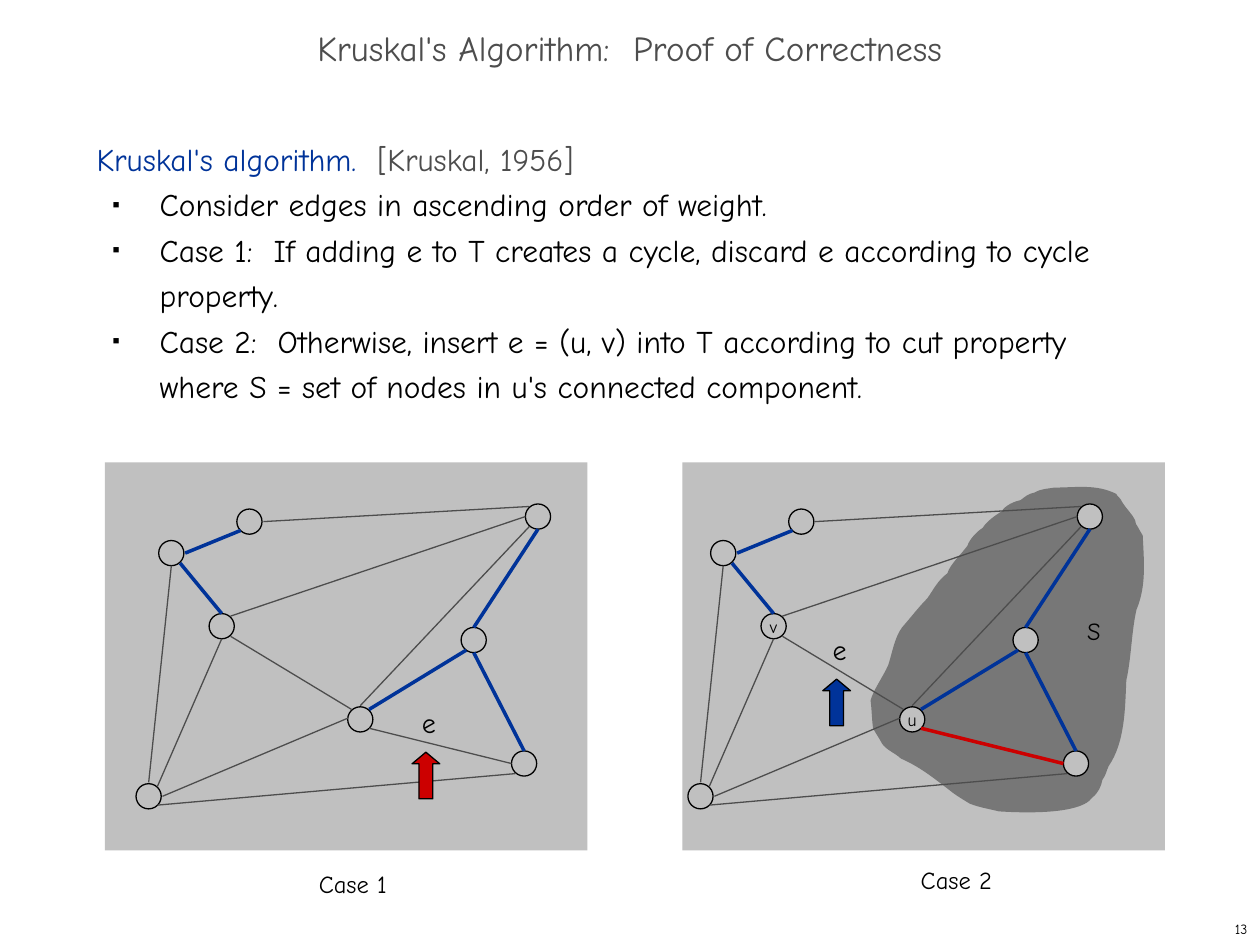
from lxml import etree
from pptx import Presentation
from pptx.dml.color import RGBColor
from pptx.enum import shapes, text
from pptx.oxml import ns
from pptx.util import Inches, Pt

FONT = "Comic Neue"
BLACK = RGBColor(0x00, 0x00, 0x00)
GRAY = RGBColor(0x4D, 0x4D, 0x4D)
BLUE = RGBColor(0x00, 0x33, 0x99)
RED = RGBColor(0xCC, 0x00, 0x00)
PANEL = RGBColor(0xC0, 0xC0, 0xC0)
CUT = RGBColor(0x77, 0x77, 0x77)

CASE_OFFSET = 4.38
NODES = {
    "a": (1.26, 4.29), "b": (4.17, 4), "c": (4.06, 5.96), "d": (1.88, 4.04),
    "v": (1.66, 4.87), "f": (1.08, 6.22), "g": (3.66, 4.98), "u": (2.76, 5.61),
}
TREE_EDGES = [
    (1.47, 4.39, 1.91, 4.21), (1.43, 4.47, 1.76, 4.87), (3.76, 4.98, 4.27, 4.2),
    (2.93, 5.63, 3.7, 5.16), (3.76, 5.18, 4.16, 5.96),
]
OTHER_EDGES = [
    (1.36, 4.49, 1.18, 6.21), (1.83, 4.89, 4.17, 4.1), (1.83, 5.05, 2.79, 5.63),
    (4.2, 4.18, 2.86, 5.6), (1.76, 5.07, 1.25, 6.24), (1.29, 6.32, 2.76, 5.7),
    (2.09, 4.14, 4.2, 4.02), (1.25, 6.39, 4.09, 6.14),
]
CYCLE_EDGE = (2.93, 5.78, 4.06, 6.06)

CUT_START = (7.05, 5.28)
CUT_CURVES = [
    (7.08, 5.19, 7.1, 5.06, 7.16, 4.98), (7.23, 4.9, 7.29, 4.82, 7.36, 4.75),
    (7.41, 4.68, 7.44, 4.61, 7.52, 4.55), (7.54, 4.48, 7.63, 4.4, 7.68, 4.33),
    (7.69, 4.29, 7.75, 4.22, 7.8, 4.19), (7.83, 4.14, 7.9, 4.09, 7.95, 4.06),
    (7.98, 4.01, 8.05, 3.98, 8.1, 3.97), (8.14, 3.94, 8.16, 3.92, 8.21, 3.91),
    (8.26, 3.88, 8.31, 3.88, 8.37, 3.87), (8.54, 3.87, 8.7, 3.84, 8.86, 3.92),
    (8.92, 4.02, 8.82, 3.87, 8.9, 3.97), (8.9, 3.97, 8.9, 3.98, 8.91, 3.99),
    (8.94, 4.04, 8.98, 4.07, 9.01, 4.13), (9.01, 4.15, 9.02, 4.17, 9.03, 4.18),
    (9.04, 4.2, 9.07, 4.25, 9.07, 4.25), (9.08, 4.46, 9.1, 4.65, 9.02, 4.84),
    (8.98, 5.02, 8.98, 5.22, 8.94, 5.4), (8.93, 5.62, 8.93, 5.89, 8.8, 6.08),
    (8.78, 6.12, 8.78, 6.15, 8.75, 6.19), (8.74, 6.24, 8.72, 6.29, 8.67, 6.33),
    (8.56, 6.49, 7.96, 6.44, 7.93, 6.44), (7.85, 6.42, 7.78, 6.41, 7.7, 6.38),
    (7.65, 6.35, 7.6, 6.32, 7.56, 6.29), (7.43, 6.19, 7.31, 6.09, 7.15, 6.02),
    (7.11, 5.98, 7.03, 5.95, 7, 5.9), (6.98, 5.86, 6.95, 5.82, 6.93, 5.78),
    (6.92, 5.71, 6.92, 5.64, 6.91, 5.56), (6.93, 5.48, 7.01, 5.37, 7.05, 5.28),
]

BULLETS = [
    "Consider edges in ascending order of weight.",
    "Case 1:  If adding e to T creates a cycle, discard e according to cycle property.",
    "Case 2:  Otherwise, insert e = (u, v) into T according to cut property "
    "where S = set of nodes in u's connected component.",
]


def place(shape, left, top, width, height):
    shape.left, shape.top = Inches(left), Inches(top)
    shape.width, shape.height = Inches(width), Inches(height)


def write(paragraph, content, size=14, color=BLACK, align=None):
    if align is not None:
        paragraph.alignment = align
    run = paragraph.add_run()
    run.text = content
    run.font.name = FONT
    run.font.size = Pt(size)
    run.font.color.rgb = color


def paint(shape, fill, outline=None):
    shape.shadow.inherit = False
    shape.fill.solid()
    shape.fill.fore_color.rgb = fill
    if outline is None:
        shape.line.fill.background()
    else:
        shape.line.color.rgb = outline
        shape.line.width = Pt(0.75)


def add_preset(slide, kind, left, top, width, height, fill, outline=None):
    shape = slide.shapes.add_shape(
        kind, Inches(left), Inches(top), Inches(width), Inches(height))
    paint(shape, fill, outline)
    return shape


def add_label(slide, content, left, top, width, height, wrap=False,
              anchor=text.MSO_ANCHOR.TOP, **style):
    box = slide.shapes.add_textbox(
        Inches(left), Inches(top), Inches(width), Inches(height))
    box.text_frame.word_wrap = wrap
    box.text_frame.vertical_anchor = anchor
    write(box.text_frame.paragraphs[0], content, **style)


def add_caption(slide, content, left, top):
    add_label(slide, content, left, top, 1.82, 0.36,
              anchor=text.MSO_ANCHOR.MIDDLE, align=text.PP_ALIGN.CENTER)


def add_edge(slide, edge, offset, color, width):
    x1, y1, x2, y2 = edge
    line = slide.shapes.add_connector(
        shapes.MSO_CONNECTOR.STRAIGHT, Inches(x1 + offset), Inches(y1),
        Inches(x2 + offset), Inches(y2))
    line.line.color.rgb = color
    line.line.width = Pt(width)
    etree.SubElement(line._element.spPr, ns.qn("a:effectLst"))


def add_node(slide, left, top, label=""):
    node = add_preset(slide, shapes.MSO_SHAPE.OVAL, left, top, 0.2, 0.2, PANEL, BLACK)
    if label:
        node.text_frame.word_wrap = False
        node.text_frame.vertical_anchor = text.MSO_ANCHOR.MIDDLE
        write(node.text_frame.paragraphs[0], label, size=10,
              align=text.PP_ALIGN.CENTER)


def add_graph(slide, offset=0, labels="", cycle_style=(GRAY, 0.75)):
    for name, (left, top) in NODES.items():
        add_node(slide, left + offset, top, name if name in labels else "")
    for edge in OTHER_EDGES:
        add_edge(slide, edge, offset, GRAY, 0.75)
    for edge in TREE_EDGES:
        add_edge(slide, edge, offset, BLUE, 2)
    add_edge(slide, CYCLE_EDGE, offset, *cycle_style)


def add_cut(slide):
    builder = slide.shapes.build_freeform(*map(Inches, CUT_START))
    builder.add_line_segments(
        [(Inches(curve[4]), Inches(curve[5])) for curve in CUT_CURVES], close=True)
    shape = builder.convert_to_shape()
    paint(shape, CUT)
    segments = list(shape._element.iter(ns.qn("a:lnTo")))
    for segment, curve in zip(segments, CUT_CURVES):
        bezier = etree.Element(ns.qn("a:cubicBezTo"))
        for x, y in zip(curve[::2], curve[1::2]):
            etree.SubElement(bezier, ns.qn("a:pt"), x=str(Inches(x) - shape.left),
                             y=str(Inches(y) - shape.top))
        segment.getparent().replace(segment, bezier)


def add_marker(slide, left, top, color):
    arrow = add_preset(slide, shapes.MSO_SHAPE.UP_ARROW, left, top, 0.22, 0.37,
                       color, BLACK)
    arrow.adjustments[0] = 0.5
    arrow.adjustments[1] = 0.42
    add_label(slide, "e", left - 0.02, top - 0.42, 0.31, 0.37, size=16)


def format_item(paragraph, margin, indent, bullet=None):
    properties = paragraph._p.get_or_add_pPr()
    properties.set("marL", str(Inches(margin)))
    properties.set("indent", str(Inches(indent)))
    if bullet:
        color = etree.SubElement(properties, ns.qn("a:buClr"))
        etree.SubElement(color, ns.qn("a:srgbClr"), val=str(BLACK))
        etree.SubElement(properties, ns.qn("a:buSzPct"), val="35000")
        etree.SubElement(properties, ns.qn("a:buChar"), char=bullet)
    else:
        etree.SubElement(properties, ns.qn("a:buNone"))
    paragraph.line_spacing = Pt(26)
    paragraph.space_before = Pt(0)


def fill_title(title):
    place(title, 0, 0.17, 10, 0.5)
    title.text_frame.vertical_anchor = text.MSO_ANCHOR.MIDDLE
    title.text_frame.auto_size = text.MSO_AUTO_SIZE.NONE
    paragraph = title.text_frame.paragraphs[0]
    paragraph.line_spacing = 0.7
    write(paragraph, "Kruskal's Algorithm:  Proof of Correctness", size=20,
          color=GRAY, align=text.PP_ALIGN.CENTER)


def fill_body(body):
    place(body, 2 / 3, 1, 8.58, 5.92)
    frame = body.text_frame
    frame.auto_size = text.MSO_AUTO_SIZE.NONE
    heading = frame.paragraphs[0]
    format_item(heading, 0.38, -0.38)
    write(heading, "Kruskal's algorithm.  ", size=18, color=BLUE)
    write(heading, "[Kruskal, 1956]", size=18, color=GRAY)
    for item in BULLETS:
        paragraph = frame.add_paragraph()
        paragraph.level = 1
        format_item(paragraph, 0.5, -0.37, "■")
        write(paragraph, item, size=18)


def main():
    presentation = Presentation()
    presentation.slide_width, presentation.slide_height = Inches(10), Inches(7.5)
    slide = presentation.slides.add_slide(presentation.slide_layouts[1])
    fill_title(slide.shapes.title)
    fill_body(slide.placeholders[1])
    for left in (5 / 6, 65 / 12):
        add_preset(slide, shapes.MSO_SHAPE.RECTANGLE, left, 3.67, 3.83, 3.08, PANEL)
    add_cut(slide)
    add_graph(slide)
    add_graph(slide, CASE_OFFSET, labels="uv", cycle_style=(RED, 2))
    add_marker(slide, 3.27, 5.97, RED)
    add_marker(slide, 6.53, 5.39, BLUE)
    add_label(slide, "S", 8.53, 4.84, 0.31, 0.33)
    add_caption(slide, "Case 1", 1.89, 6.83)
    add_caption(slide, "Case 2", 6.68, 6.8)
    add_label(slide, "13", 7.92, 7.25, 2.08, 0.25, wrap=True, size=8,
              anchor=text.MSO_ANCHOR.MIDDLE, align=text.PP_ALIGN.RIGHT)
    presentation.save("out.pptx")


if __name__ == "__main__":
    main()
